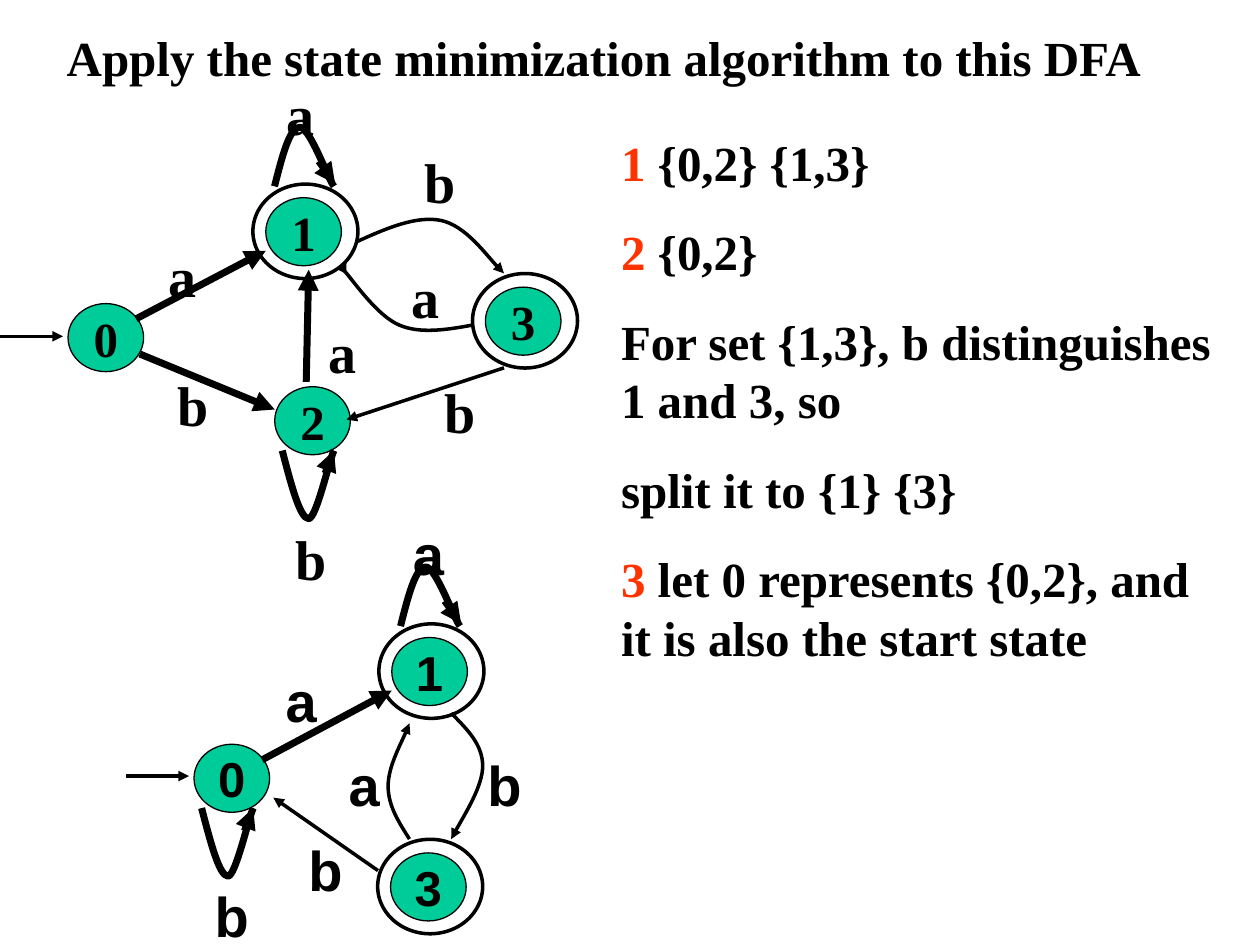
from lxml import etree
from pptx import Presentation
from pptx.dml.color import RGBColor
from pptx.enum.shapes import MSO_CONNECTOR, MSO_SHAPE
from pptx.enum.text import MSO_ANCHOR, MSO_AUTO_SIZE, PP_ALIGN
from pptx.oxml.ns import qn
from pptx.util import Pt

COLORS = {"black": "000000", "state": "00CC99", "step": "FF3300"}
SERIF, SANS = "Times New Roman", "Arial"
STATE_W, STATE_H = 43.2, 38.9
LOOP_TOP = [(5, -6.5), (9.3, -23.4), (13.6, -40.3), (19.4, -40.3),
            (25.2, -40.3), (35.3, -11.5), (38.9, -6.5)]
LOOP_BOTTOM = [(4.3, 36.5), (9.4, 56), (14.4, 75.4), (19.4, 75.4),
               (23.7, 75.4), (30.9, 43), (33.8, 36.5)]
LOOPS = {
    "a": (LOOP_TOP, [(30.2, -20.9), (39.6, -7.9)], (5, -71.2)),
    "b": (LOOP_BOTTOM, [(28.8, 49.5), (33.8, 36.5)], (4.7, 75)),
}

diagrams = [
    {
        "font": SERIF,
        "states": {"0": (38.9, 173.5), "1": (151.9, 113),
                   "2": (157, 221), "3": (277.4, 164.1)},
        "loops": {"1": "a", "2": "b"},
        "arrows": [
            (0, 192.2, 36, 192.2, 2), (77.8, 182.2, 151.9, 143.3, 4),
            (79.9, 202.3, 157, 234, 4), (175, 218.2, 176.4, 154.1, 4),
            (288, 210.2, 198, 239.8, 2),
        ],
        "curves": [
            [(203.8, 138.2), (221, 130.3), (238.3, 123.1), (252, 126),
             (265.7, 128.9), (282.2, 151.2), (288, 156.2)],
            [(270, 185.8), (254.9, 188.6), (239.8, 190.8), (228.2, 185.8),
             (216, 180.7), (203, 162), (198, 156.2),
             (193, 149.8), (195.8, 149.8), (198, 149.8)],
        ],
        "labels": [("a", 180.7, 177.8), ("a", 89.3, 134.6), ("b", 94.3, 208.1),
                   ("b", 235.4, 80.6), ("a", 228.2, 146.2), ("b", 247, 212.4)],
    },
    {
        "font": SANS,
        "states": {"0": (110.9, 425.3), "1": (223.9, 364.3), "3": (223.2, 487.4)},
        "loops": {"1": "a", "0": "b"},
        "arrows": [
            (72, 443.5, 108, 443.5, 2), (149.8, 434.2, 223.9, 394.6, 4),
            (216, 497.5, 156.2, 455.8, 2),
        ],
        "curves": [
            [(257.8, 407.5), (267.1, 416.9), (275.8, 425.5), (275.8, 437.8),
             (275.8, 449.3), (261.4, 472.3), (257.8, 479.5)],
            [(234, 479.5), (228.2, 470.2), (221.8, 460.8), (221.8, 449.3),
             (221.8, 438.5), (231.8, 419.8), (234, 413.3)],
        ],
        "labels": [("a", 156.2, 377.3), ("b", 271.4, 425.5),
                   ("a", 192.2, 425.5), ("b", 169.2, 473.8)],
    },
]


def style_line(sp, width, arrow=False):
    sp.line.color.rgb = RGBColor.from_string(COLORS["black"])
    sp.line.width = Pt(width)
    if arrow:
        etree.SubElement(sp.line._get_or_add_ln(), qn("a:tailEnd"), type="triangle")
    spPr = sp._element.spPr
    if spPr.find(qn("a:effectLst")) is None:
        etree.SubElement(spPr, qn("a:effectLst"))


def style_run(r, size, font, color="black"):
    r.font.size = Pt(size)
    r.font.name = font
    r.font.bold = True
    r.font.color.rgb = RGBColor.from_string(COLORS[color])


prs = Presentation()
prs.slide_width, prs.slide_height = Pt(720), Pt(540)
s = prs.slides.add_slide(prs.slide_layouts[6])

for diagram in diagrams:
    states, font = diagram["states"], diagram["font"]
    arrows = list(diagram["arrows"])
    curves = [(points, 2, True) for points in diagram["curves"]]
    labels = list(diagram["labels"])

    for name, letter in diagram["loops"].items():
        x, y = states[name]
        loop, head, (dx, dy) = LOOPS[letter]
        curves.append(([(x + px, y + py) for px, py in loop], 4, False))
        (x1, y1), (x2, y2) = head
        arrows.append((x + x1, y + y1, x + x2, y + y2, 4))
        labels.append((letter, x + dx, y + dy))

    for name, (x, y) in states.items():
        sp = s.shapes.add_shape(MSO_SHAPE.OVAL, Pt(x), Pt(y), Pt(STATE_W), Pt(STATE_H))
        sp.fill.solid()
        sp.fill.fore_color.rgb = RGBColor.from_string(COLORS["state"])
        style_line(sp, 0.75)
        tf = sp.text_frame
        tf.word_wrap = False
        tf.vertical_anchor = MSO_ANCHOR.MIDDLE
        tf.text = name
        p = tf.paragraphs[0]
        p.alignment = PP_ALIGN.CENTER
        style_run(p.runs[0], 28, font)
        if name in ("1", "3"):
            ring = s.shapes.add_shape(MSO_SHAPE.OVAL, Pt(x - 7.4), Pt(y - 7.8), Pt(60), Pt(54))
            ring.fill.background()
            style_line(ring, 2)

    for x1, y1, x2, y2, width in arrows:
        arrow = s.shapes.add_connector(MSO_CONNECTOR.STRAIGHT, Pt(x1), Pt(y1), Pt(x2), Pt(y2))
        style_line(arrow, width, True)

    for points, width, has_head in curves:
        start, *rest = [(Pt(x), Pt(y)) for x, y in points]
        builder = s.shapes.build_freeform(*start)
        builder.add_line_segments(rest, close=False)
        curve = builder.convert_to_shape()
        curve.fill.background()
        style_line(curve, width, has_head)
        outline = next(curve._element.iter(qn("a:path")))
        segments = outline.findall(qn("a:lnTo"))
        for i in range(0, len(segments), 3):
            bezier = etree.SubElement(outline, qn("a:cubicBezTo"))
            for segment in segments[i:i + 3]:
                bezier.append(segment[0])
                outline.remove(segment)

    for letter, x, y in labels:
        tf = s.shapes.add_textbox(Pt(x), Pt(y), Pt(28.8), Pt(46)).text_frame
        tf.word_wrap = True
        tf.auto_size = MSO_AUTO_SIZE.SHAPE_TO_FIT_TEXT
        tf.text = letter
        p = tf.paragraphs[0]
        p.alignment = PP_ALIGN.CENTER
        p.space_before = Pt(20)
        style_run(p.runs[0], 32, font)

steps = [
    ("1", " {0,2} {1,3}"),
    ("2", " {0,2}"),
    ("", "For set {1,3}, b distinguishes 1 and 3, so"),
    ("", "split it to {1} {3}"),
    ("3", " let 0 represents {0,2}, and it is also the start state"),
]
title = [("", "Apply the state minimization algorithm to this DFA")]
for (x, y, w, h), lines, gap in [((31, 12.2, 658.8, 41), title, 0),
                                 ((347.8, 72, 354.2, 312.5), steps, 17.5)]:
    tf = s.shapes.add_textbox(Pt(x), Pt(y), Pt(w), Pt(h)).text_frame
    tf.word_wrap = True
    tf.auto_size = MSO_AUTO_SIZE.SHAPE_TO_FIT_TEXT
    for i, (number, words) in enumerate(lines):
        p = tf.add_paragraph() if i else tf.paragraphs[0]
        p.space_before = Pt(gap)
        for text, color in ((number, "step"), (words, "black")):
            if text:
                r = p.add_run()
                r.text = text
                style_run(r, 28, SERIF, color)

prs.save("out.pptx")
